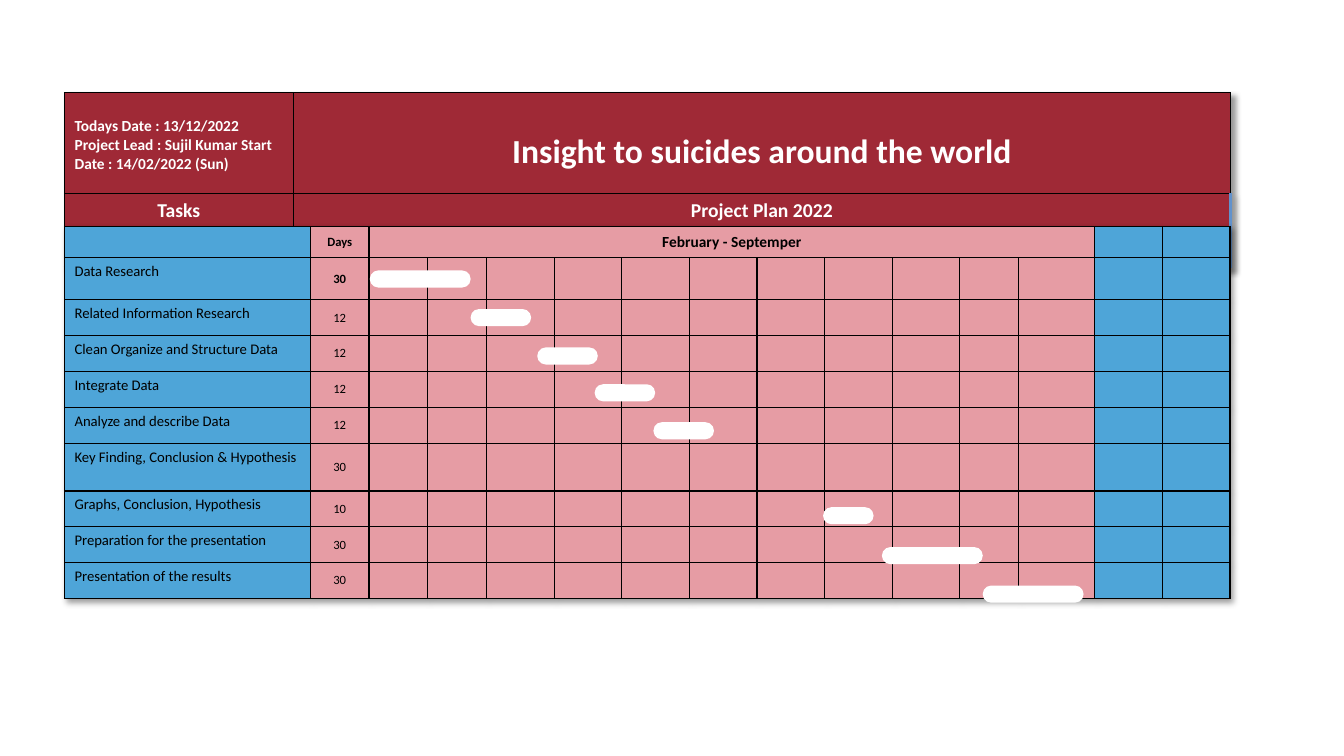
from dataclasses import dataclass

from lxml.etree import SubElement
from pptx import Presentation
from pptx.dml.color import RGBColor
from pptx.enum.shapes import MSO_SHAPE
from pptx.enum.text import MSO_ANCHOR, PP_ALIGN
from pptx.oxml import parse_xml
from pptx.oxml.ns import qn
from pptx.slide import Slide
from pptx.table import Table, _Cell
from pptx.util import Pt

HUES = {"red": "9F2936", "pink": "E69CA4", "blue": "4EA5D8",
        "white": "FFFFFF", "black": "000000", "edge": "6292CC",
        "base": "2D6BB5"}
FONT = "Calibri"
LEFT = 46.1
HEAD_TOP, PLAN_TOP = 66.2, 162
HEAD_COLS, HEAD_ROWS = [163.4, 669.6], [72, 52.6]
PLAN_COLS = [175.7, 41.8, 41.8, 42.3, *[48.3] * 7, 41.8, 54.7, 48.3, 48.3]
LAST_PINK = 12
BAR_HIGH = 12.2

SHADOW = """<a:effectLst
 xmlns:a="http://schemas.openxmlformats.org/drawingml/2006/main">
 <a:outerShdw blurRad="50800" dist="38100" dir="2700000" algn="tl"
 rotWithShape="0"><a:srgbClr val="000000"><a:alpha val="40000"/></a:srgbClr>
 </a:outerShdw></a:effectLst>"""


@dataclass
class Bar:
    left: float
    top: float
    width: float


@dataclass
class Task:
    name: str
    days: int
    high: float = 25.65
    bar: Bar | None = None
    bold: bool = False


TASKS = [
    Task("Data Research", 30, 30.2, Bar(264.2, 193.2, 72), True),
    Task("Related Information Research", 12, bar=Bar(336.2, 220.8, 43.2)),
    Task("Clean Organize and Structure Data", 12, bar=Bar(383.8, 248.2, 43.2)),
    Task("Integrate Data", 12, bar=Bar(424.8, 274.5, 43.2)),
    Task("Analyze and describe Data", 12, bar=Bar(466.8, 301.6, 43.2)),
    Task("Key Finding, Conclusion & Hypothesis", 30, 34),
    Task("Graphs, Conclusion, Hypothesis", 10, bar=Bar(588, 362.3, 36)),
    Task("Preparation for the presentation", 30, bar=Bar(630, 390.8, 72)),
    Task("Presentation of the results", 30, bar=Bar(702, 418.3, 72)),
]


def write(cell: _Cell, *lines: str, size: float, hue: str = "black",
          bold: bool = False, center: bool = True, middle: bool = False,
          side: float = 7.2, top: float = 3.6) -> None:
    cell.margin_left = cell.margin_right = Pt(side)
    cell.margin_top = Pt(top)
    cell.margin_bottom = Pt(min(top, 3.6))
    cell.vertical_anchor = MSO_ANCHOR.MIDDLE if middle else MSO_ANCHOR.TOP
    frame = cell.text_frame
    for i, line in enumerate(lines):
        para = frame.add_paragraph() if i else frame.paragraphs[0]
        para.alignment = PP_ALIGN.CENTER if center else PP_ALIGN.LEFT
        run = para.add_run()
        run.text = line
        run.font.name = FONT
        run.font.size = Pt(size)
        run.font.bold = bold
        run.font.color.rgb = RGBColor.from_string(HUES[hue])


def paint(cell: _Cell, fill: str, **sides: tuple[str, float]) -> None:
    """Fill a cell and rule it in black, save for sides given by letter."""
    props = cell._tc.get_or_add_tcPr()
    for side in "LRTB":
        hue, width = sides.get(side, ("black", 1))
        line = SubElement(props, qn(f"a:ln{side}"), w=str(Pt(width)))
        SubElement(SubElement(line, qn("a:solidFill")),
                   qn("a:srgbClr"), val=HUES[hue])
    cell.fill.solid()
    cell.fill.fore_color.rgb = RGBColor.from_string(HUES[fill])


def add_grid(slide: Slide, top: float, cols: list[float],
             rows: list[float]) -> Table:
    frame = slide.shapes.add_table(len(rows), len(cols), Pt(LEFT), Pt(top),
                                   Pt(sum(cols)), Pt(sum(rows)))
    table = frame.table
    table.first_row = table.horz_banding = False
    table._tbl.tblPr.insert(0, parse_xml(SHADOW))
    for col, width in zip(table.columns, cols):
        col.width = Pt(width)
    for row, high in zip(table.rows, rows):
        row.height = Pt(high)
    for cell in table.iter_cells():
        cell.margin_left = cell.margin_right = Pt(0)
        cell.margin_top = cell.margin_bottom = Pt(0)
    return table


def add_head(slide: Slide) -> None:
    table = add_grid(slide, HEAD_TOP, HEAD_COLS, HEAD_ROWS)
    info, title = table.cell(0, 0), table.cell(0, 1)
    tasks, plan = table.cell(1, 0), table.cell(1, 1)
    for cell in (info, title, tasks):
        paint(cell, "red")
    paint(plan, "red", R=("edge", 2.25), B=("base", 2.25))
    write(info, "Todays Date : 13/12/2022",
          "Project Lead : Sujil Kumar Start Date : 14/02/2022 (Sun)",
          size=11, hue="white", bold=True, center=False, top=17)
    write(title, "Insight to suicides around the world",
          size=24, hue="white", bold=True, top=28)
    write(tasks, "Tasks", size=14, hue="white", bold=True)
    write(plan, "Project Plan 2022", size=14, hue="white", bold=True)


def add_plan(slide: Slide) -> None:
    rows = [22, *(task.high for task in TASKS)]
    table = add_grid(slide, PLAN_TOP, PLAN_COLS, rows)
    for r in range(len(rows)):
        for c in range(len(PLAN_COLS)):
            paint(table.cell(r, c), "pink" if 1 <= c <= LAST_PINK else "blue")
    span = table.cell(0, 2)
    span.merge(table.cell(0, LAST_PINK))
    write(table.cell(0, 1), "Days", size=9, bold=True, middle=True,
          side=0, top=0)
    write(span, "February - Septemper", size=11, bold=True, middle=True,
          side=0, top=0)
    for r, task in enumerate(TASKS, 1):
        write(table.cell(r, 0), task.name, size=10.5, center=False)
        write(table.cell(r, 1), str(task.days), size=9, bold=task.bold,
              middle=True, side=0.7, top=0.7)


def add_bar(slide: Slide, bar: Bar) -> None:
    shape = slide.shapes.add_shape(MSO_SHAPE.ROUNDED_RECTANGLE, Pt(bar.left),
                                   Pt(bar.top), Pt(bar.width), Pt(BAR_HIGH))
    shape.adjustments[0] = 0.49
    shape.shadow.inherit = False
    shape.fill.solid()
    shape.fill.fore_color.rgb = RGBColor.from_string(HUES["white"])
    shape.line.fill.background()


def main() -> None:
    deck = Presentation()
    deck.slide_width, deck.slide_height = Pt(960), Pt(540)
    slide = deck.slides.add_slide(deck.slide_layouts[6])
    add_head(slide)
    add_plan(slide)
    for task in TASKS:
        if task.bar:
            add_bar(slide, task.bar)
    deck.save("out.pptx")


if __name__ == "__main__":
    main()
